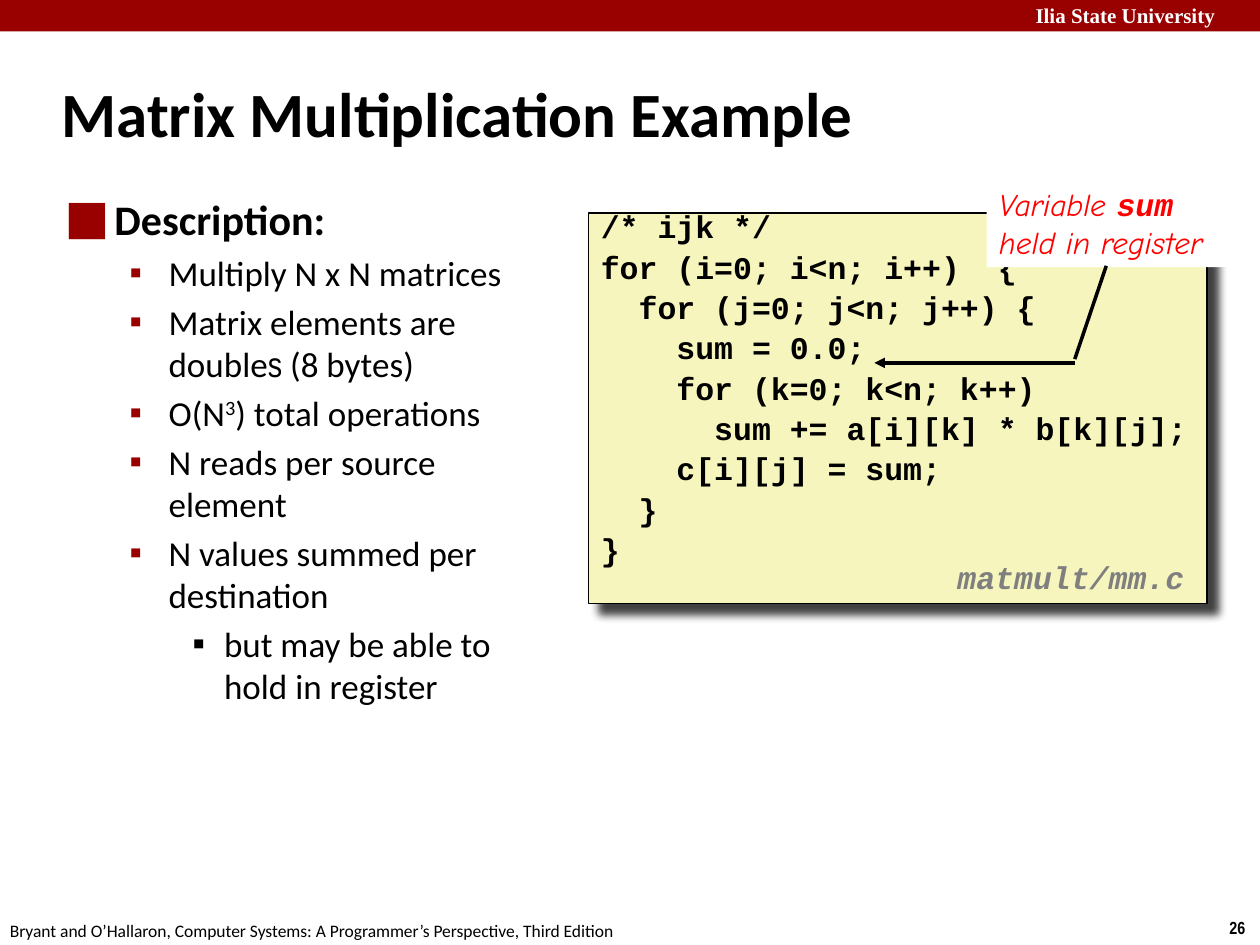
from lxml import etree
from pptx import Presentation
from pptx import util as u
from pptx.dml.color import RGBColor
from pptx.enum import shapes, text
from pptx.oxml import parse_xml
from pptx.oxml.ns import nsdecls, qn

PX = 9144
THEME = {
    "red": "990000", "black": "000000", "white": "FFFFFF", "cream": "F6F5BD",
    "gray": "7F7F7F", "alert": "FF0000",
    "sans": "Calibri", "narrow": "Arial Narrow", "serif": "Times New Roman",
    "code": "Courier New", "hand": "Comic Neue",
    "title": 36, "heading": 24, "body": 20, "code_size": 18, "header": 12, "footer": 10,
}


def add_box(box, fill=None, line=None):
    shape = slide.shapes.add_shape(shapes.MSO_SHAPE.RECTANGLE, *[value * PX for value in box])
    shape.shadow.inherit = False
    for part, color in ((shape.fill, fill), (shape.line.fill, line)):
        if color:
            part.solid()
            part.fore_color.rgb = RGBColor.from_string(THEME[color])
        else:
            part.background()
    return shape


def write(shape, paragraphs, font, size, color, anchor=text.MSO_ANCHOR.TOP, wrap=True, **style):
    frame = shape.text_frame
    frame.word_wrap = wrap
    frame.vertical_anchor = anchor
    for index, runs in enumerate(paragraphs):
        paragraph = frame.paragraphs[0] if index == 0 else frame.add_paragraph()
        paragraph.alignment = text.PP_ALIGN.LEFT
        for words, changes in runs:
            run = paragraph.add_run()
            run.text = words
            run.font.color.rgb = RGBColor.from_string(THEME[color])
            values = {"name": THEME[font], "size": u.Pt(THEME[size]), **style, **changes}
            for name, value in values.items():
                setattr(run.font, name, value)
    return frame.paragraphs


presentation = Presentation()
presentation.slide_width = 1000 * PX
presentation.slide_height = 750 * PX
slide = presentation.slides.add_slide(presentation.slide_layouts[6])

add_box((0, 0, 1000, 25), fill="red")

labels = [
    ((812, -3, 195, 50), "Ilia State University", "serif", "header", "white", {"bold": True}),
    ((966, 723, 34, 27), "26", "narrow", "footer", "black", {"bold": True, "wrap": False}),
    ((-2, 725, 508, 27),
     "Bryant and O’Hallaron, Computer Systems: A Programmer’s Perspective, Third Edition",
     "sans", "footer", "black", {}),
    ((39, 48, 830, 83), "Matrix Multiplication Example", "sans", "title", "black",
     {"bold": True, "anchor": text.MSO_ANCHOR.MIDDLE}),
]
for box, words, font, size, color, style in labels:
    label = slide.shapes.add_textbox(*[value * PX for value in box])
    write(label, [[(words, {})]], font, size, color, **style)

description = [
    (0, [("Description:", {"bold": True, "size": u.Pt(THEME["heading"])})]),
    (1, [("Multiply N x N matrices", {})]),
    (1, [("Matrix elements are double", {}), ("s", {"name": THEME["narrow"]}), (" (8 bytes)", {})]),
    (1, [("O(N", {}), ("3", {}), (") total operations", {})]),
    (1, [("N reads per source element", {})]),
    (1, [("N values summed per destination", {})]),
    (2, [("but may be able to hold in register", {})]),
]
levels = [(38, 38, 0, "⬛", "red"), (81, 31, 4, "▪", "red"), (125, 25, 4, "▪", "black")]
body = slide.shapes.add_textbox(*[value * PX for value in (43, 149, 398, 544)])
paragraphs = write(body, [runs for level, runs in description], "sans", "body", "black")
for paragraph, (level, runs) in zip(paragraphs, description):
    margin, hang, space, bullet, color = levels[level]
    paragraph.level = level
    paragraph.space_before = u.Pt(space)
    properties = paragraph._p.get_or_add_pPr()
    properties.set("marL", str(margin * PX))
    properties.set("indent", str(-hang * PX))
    bullet_color = etree.SubElement(properties, qn("a:buClr"))
    etree.SubElement(bullet_color, qn("a:srgbClr"), val=THEME[color])
    etree.SubElement(properties, qn("a:buFont"), typeface=THEME["sans"])
    etree.SubElement(properties, qn("a:buChar"), char=bullet)
exponent = paragraphs[3].runs[1]
exponent._r.get_or_add_rPr().set("baseline", "30000")

code = """/* ijk */
for (i=0; i<n; i++)  {
  for (j=0; j<n; j++) {
    sum = 0.0;
    for (k=0; k<n; k++)
      sum += a[i][k] * b[k][j];
    c[i][j] = sum;
  }
}"""
listing = add_box((467, 169, 491, 310), fill="cream", line="black")
listing.line.width = u.Pt(1)
lines = write(listing, [[(line, {})] for line in code.split("\n")],
              "code", "code_size", "black", bold=True)
for index, line in enumerate(lines):
    line.line_spacing = 0.65
    line.space_before = u.Pt(9 if index else 0)
effects = listing._element.spPr.find(qn("a:effectLst"))
effects.append(parse_xml(
    f'<a:outerShdw {nsdecls("a")} blurRad="{u.Pt(5)}" dist="{u.Pt(8.5)}" dir="{45 * 60000}" '
    f'algn="tl" rotWithShape="0"><a:srgbClr val="{THEME["black"]}">'
    '<a:alpha val="74000"/></a:srgbClr></a:outerShdw>'))

callout = add_box((783, 142, 205, 70), fill="white")
write(callout,
      [[("Variable ", {}), ("sum", {"name": THEME["code"], "bold": True})],
       [("held in register", {})]],
      "hand", "code_size", "alert", italic=True)

for ends, arrow in (((853, 288, 694, 288), True), ((878, 211, 853, 285), False)):
    connector = slide.shapes.add_connector(
        shapes.MSO_CONNECTOR.STRAIGHT, *[value * PX for value in ends])
    connector.line.color.rgb = RGBColor.from_string(THEME["black"])
    connector.line.width = u.Pt(2)
    if arrow:
        etree.SubElement(connector.line._get_or_add_ln(), qn("a:tailEnd"), type="triangle")
    etree.SubElement(connector._element.spPr, qn("a:effectLst"))

file_label = slide.shapes.add_textbox(*[value * PX for value in (750, 440, 208, 39)])
file_lines = write(file_label, [[("matmult/mm.c", {})]], "code", "code_size", "gray",
                   bold=True, italic=True)
file_lines[0].line_spacing = 0.94

presentation.save("out.pptx")
